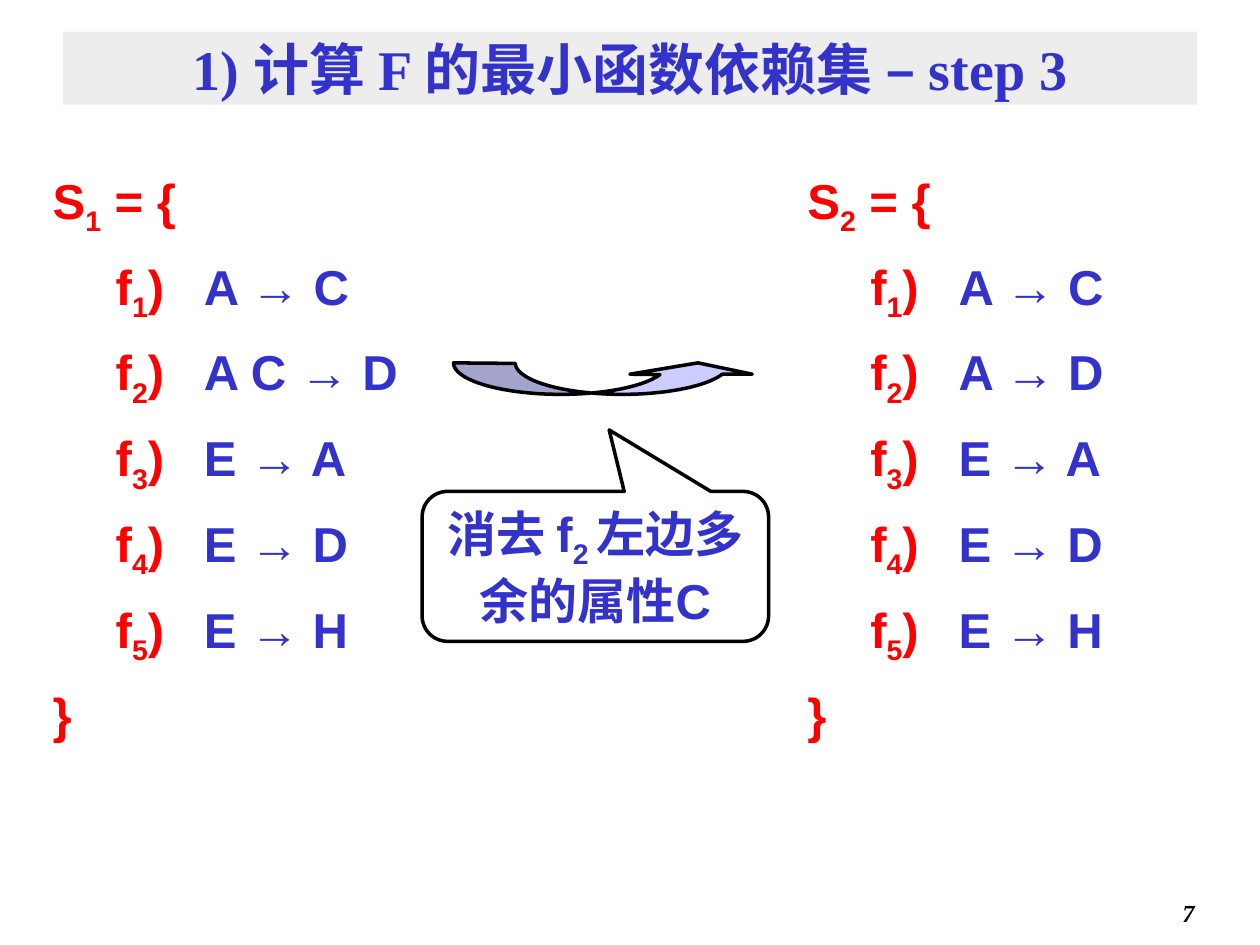
"""Build the slide on step 3 of finding a minimal cover of functional dependencies."""
from math import cos, radians, sin

from lxml.etree import SubElement
from pptx import Presentation
from pptx.dml.color import RGBColor
from pptx.enum.shapes import MSO_SHAPE as Shape
from pptx.enum.text import MSO_ANCHOR as Anchor, PP_ALIGN as Align
from pptx.oxml.ns import qn
from pptx.util import Inches, Pt

BLUE = RGBColor(0x33, 0x33, 0xCC)
RED = RGBColor(0xFF, 0x00, 0x00)
BLACK = RGBColor(0x00, 0x00, 0x00)
GREY = RGBColor(0xDD, 0xDD, 0xDD)
LILAC = RGBColor(0xCC, 0xCC, 0xFF)
DARK_LILAC = RGBColor(0xA3, 0xA3, 0xCC)

deck = Presentation()
deck.slide_width, deck.slide_height = Inches(10), Inches(7.5)
slide = deck.slides.add_slide(deck.slide_layouts[6])
shapes = slide.shapes
COL, ROW = deck.slide_width / 40, deck.slide_height / 30


def cells(*place):
    return [round(n * unit) for n, unit in zip(place, (COL, ROW, COL, ROW))]


def add_run(paragraph, text, color, size=28, face="Arial", lowered=False):
    run = paragraph.add_run()
    run.text = text
    run.font.size, run.font.name, run.font.bold = Pt(size), face, True
    run.font.color.rgb = color
    if lowered:
        run.font._element.set("baseline", "-25000")
    return run


title = shapes.add_shape(Shape.RECTANGLE, *cells(2, 1, 36, 2.32))
title.shadow.inherit = False
title.fill.solid()
title.fill.fore_color.rgb = GREY
grey_tint = title._element.spPr.find(qn("a:solidFill"))[0]
SubElement(grey_tint, qn("a:alpha"), val="50000")
title.line.fill.background()
title.text_frame.vertical_anchor = Anchor.MIDDLE
heading = title.text_frame.paragraphs[0]
heading.alignment = Align.CENTER
add_run(heading, "1) 计算 F 的最小函数依赖集 – step 3", BLUE, 32, "Times New Roman")

remark = shapes.add_shape(Shape.ROUNDED_RECTANGULAR_CALLOUT, *cells(13.4, 15.6, 11, 4.76))
remark.shadow.inherit = False
for index, value in enumerate((0.04, -0.91, 0.17)):
    remark.adjustments[index] = value
remark.fill.background()
remark.line.color.rgb, remark.line.width = BLACK, Pt(2)
remark.text_frame.word_wrap = True
remark.text_frame.vertical_anchor = Anchor.MIDDLE
reason = remark.text_frame.paragraphs[0]
reason.alignment = Align.CENTER
add_run(reason, "消去 f", BLUE)
add_run(reason, "2 ", BLUE, lowered=True)
add_run(reason, "左边多余的属性C", BLUE)

LEFT_CENTRE, RIGHT_CENTRE, ARC_TOP = 17.8, 19.76, 11.52
RADIUS_X, RADIUS_Y = 3.4, 1
tail_arcs = [(LEFT_CENTRE, range(180, 72, -3)), (RIGHT_CENTRE, range(107, 181, 3))]
head_arcs = [(LEFT_CENTRE, range(73, 20, -3)), (RIGHT_CENTRE, range(21, 108, 3))]
arrowhead = [(20, 11.88), (22.16, 11.52), (23.88, 11.88)]
for arcs, corners, color in ((tail_arcs, [], DARK_LILAC), (head_arcs, arrowhead, LILAC)):
    first, second = [
        [(centre + RADIUS_X * cos(radians(a)), ARC_TOP + RADIUS_Y * sin(radians(a))) for a in angles]
        for centre, angles in arcs
    ]
    outline = [cells(*point) for point in first + corners + second]
    builder = shapes.build_freeform(*outline[0])
    builder.add_line_segments(outline[1:], close=True)
    arrow_part = builder.convert_to_shape()
    arrow_part.shadow.inherit = False
    arrow_part.fill.solid()
    arrow_part.fill.fore_color.rgb = color
    arrow_part.line.color.rgb, arrow_part.line.width = BLACK, Pt(2)

dependency_sets = [
    ("1", 1.28, ["A → C", "A C → D", "E → A", "E → D", "E → H"]),
    ("2", 25.24, ["A → C", "A → D", "E → A", "E → D", "E → H"]),
]
for set_number, left, dependencies in dependency_sets:
    listing = shapes.add_textbox(*cells(left, 5, 13.68, 24.6)).text_frame
    listing.word_wrap = True
    opening = listing.paragraphs[0]
    opening.line_spacing = 1.1
    add_run(opening, "S", RED)
    add_run(opening, set_number, RED, lowered=True)
    add_run(opening, " = {", RED)
    for number, dependency in enumerate(dependencies, 1):
        entry = listing.add_paragraph()
        entry.line_spacing, entry.space_before = 1.1, Pt(7)
        layout = entry._p.get_or_add_pPr()
        layout.set("marL", str(Inches(1.2)))
        layout.set("indent", str(-Inches(0.7)))
        tabs = SubElement(layout, qn("a:tabLst"))
        for stop in (0, Inches(1.2)):
            SubElement(tabs, qn("a:tab"), pos=str(stop), algn="l")
        add_run(entry, "f", RED)
        add_run(entry, str(number), RED, lowered=True)
        add_run(entry, ")", RED)
        add_run(entry, "\t" + dependency, BLUE)
    closing = listing.add_paragraph()
    closing.line_spacing, closing.space_before = 1.1, Pt(7)
    add_run(closing, "}", RED)

footer = shapes.add_textbox(*cells(30, 28.32, 8.32, 1.32)).text_frame
footer.word_wrap = True
page = footer.paragraphs[0]
page.alignment = Align.RIGHT
add_run(page, "7", BLACK, 14, "Times New Roman").font.italic = True

deck.save("out.pptx")
